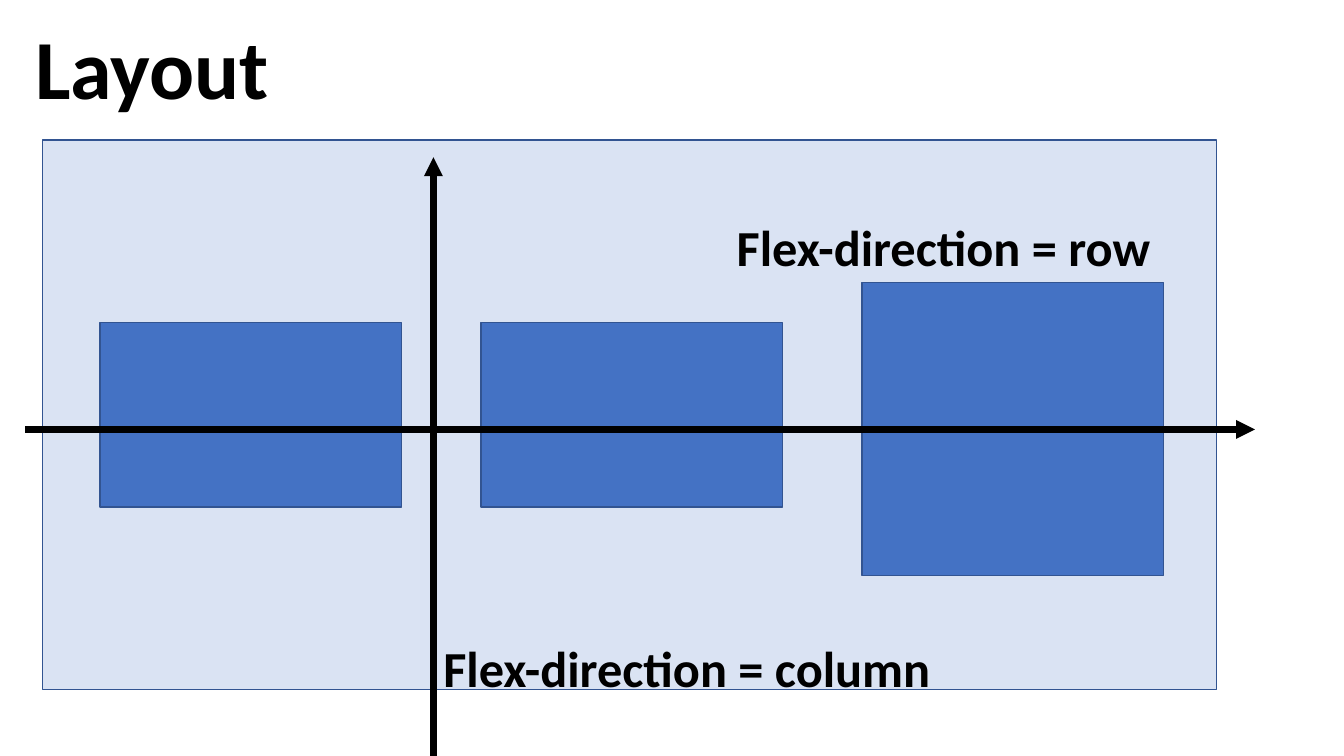
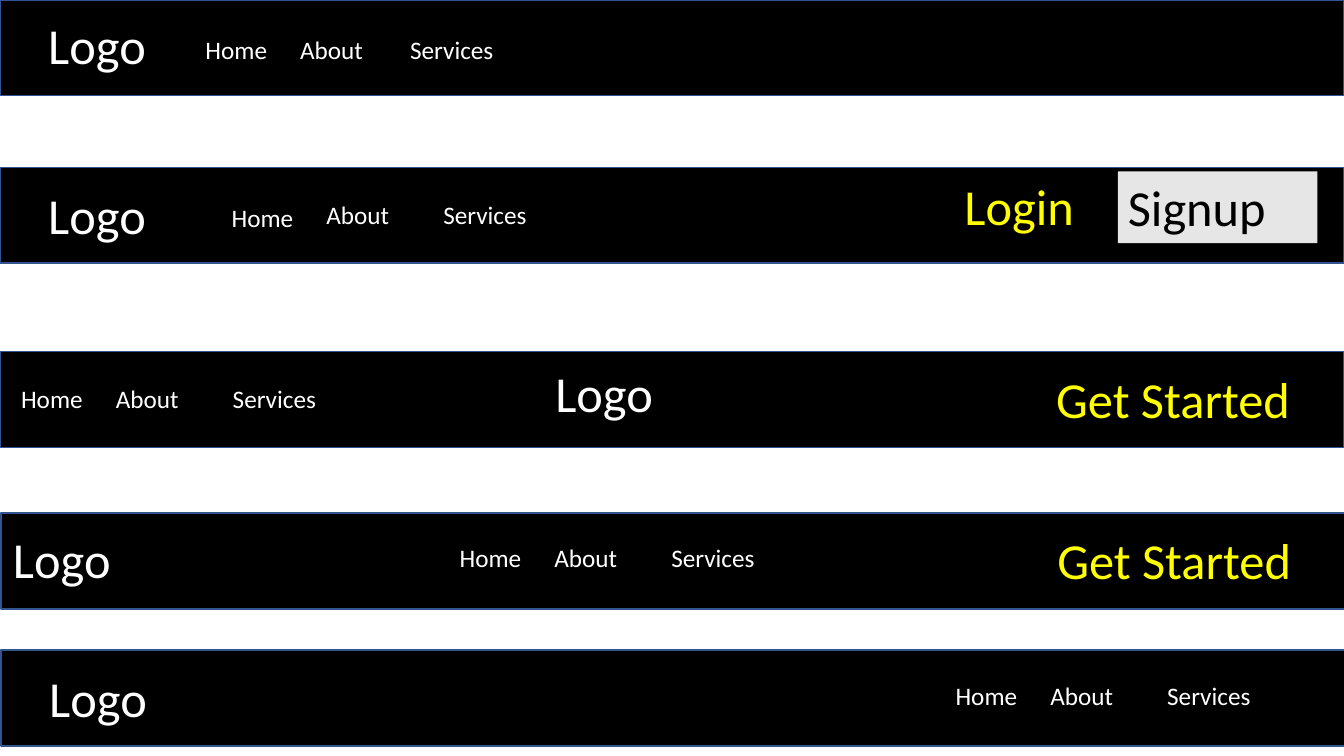
from collections import namedtuple

from lxml.etree import SubElement
from pptx import Presentation
from pptx.dml.color import RGBColor
from pptx.enum.shapes import MSO_CONNECTOR as CONNECTOR, MSO_SHAPE as SHAPE
from pptx.enum.text import MSO_ANCHOR as ANCHOR, MSO_AUTO_SIZE as AUTO_SIZE, PP_ALIGN as ALIGN
from pptx.oxml.ns import qn
from pptx.util import Inches, Pt

FONT = "Calibri"
BLACK, WHITE, YELLOW, GRAY = "000000", "FFFFFF", "FFFF00", "E7E6E6"
PALE_BLUE, BLUE, OUTLINE = "DAE3F3", "4472C4", "325491"
TITLE_ONLY, BLANK = 5, 6


class Box(namedtuple("Box", "left top width height")):
    """A rectangle in EMU."""

    def point(self, x, y):
        """Return the point at x and y percent of this box."""
        return (round(self.left + self.width * x / 100),
                round(self.top + self.height * y / 100))

    def inner(self, x, y, width, height):
        """Return an inner box, all lengths in percent of this box."""
        return Box(*self.point(x, y), round(self.width * width / 100),
                   round(self.height * height / 100))


SLIDE = Box(0, 0, Inches(7.5) * 16 // 9, Inches(7.5))


def color(hex_string):
    """Turn a hex string into a colour."""
    return RGBColor.from_string(hex_string)


def write(shape, text, size=36, ink=BLACK, bold=False):
    """Put one left-aligned, formatted line of text into a shape."""
    frame = shape.text_frame
    frame.word_wrap = True
    frame.auto_size = AUTO_SIZE.SHAPE_TO_FIT_TEXT
    frame.vertical_anchor = ANCHOR.TOP
    paragraph = frame.paragraphs[0]
    paragraph.alignment = ALIGN.LEFT
    run = paragraph.add_run()
    run.text = text
    run.font.name, run.font.size, run.font.bold = FONT, Pt(size), bold
    run.font.color.rgb = color(ink)


def add_text(slide, box, text, fill=None, **text_format):
    """Add a text box, filled if a colour is given."""
    shape = slide.shapes.add_textbox(*box)
    if fill:
        shape.fill.solid()
        shape.fill.fore_color.rgb = color(fill)
    write(shape, text, **text_format)


def add_rectangle(slide, box, fill):
    """Add an outlined rectangle."""
    shape = slide.shapes.add_shape(SHAPE.RECTANGLE, *box)
    shape.shadow.inherit = False
    shape.fill.solid()
    shape.fill.fore_color.rgb = color(fill)
    shape.line.color.rgb = color(OUTLINE)
    shape.line.width = Pt(1)


def add_arrow(slide, start, end):
    """Add a thick black arrow from start to end."""
    arrow = slide.shapes.add_connector(CONNECTOR.STRAIGHT, *start, *end)
    arrow.line.color.rgb = color(BLACK)
    arrow.line.width = Pt(4.5)
    properties = arrow._element.spPr
    SubElement(properties.find(qn("a:ln")), qn("a:tailEnd"), type="triangle")
    SubElement(properties, qn("a:effectLst"))


def add_title(slide, box, text):
    """Move the title placeholder to the box and fill it."""
    title = slide.shapes.title
    title.left, title.top, title.width, title.height = box
    write(title, text, size=60, bold=True)


def add_flex_diagram(slide, box):
    """Draw a flex container, its three items and both axes."""
    add_rectangle(slide, box.inner(3.15, 18.53, 87.38, 72.67), PALE_BLUE)
    item_rows = ((42.67, 24.4), (42.67, 24.4), (37.33, 38.8))
    for column, (top, height) in enumerate(item_rows):
        add_rectangle(slide, box.inner(7.43 + 28.35 * column, top, 22.43, height), BLUE)
    add_arrow(slide, box.point(1.88, 56.8), box.point(93.38, 56.8))
    add_arrow(slide, box.point(32.25, 112.53), box.point(32.25, 20.8))
    for direction, x, y in (("row", 54.08, 27.87), ("column", 32.25, 83.6)):
        add_text(slide, box.inner(x, y, 42.38, 9.47),
                 f"Flex-direction = {direction}", bold=True)


def add_navbar(slide, box, logo, menu, actions=(), services=15.75, home_drop=0):
    """Draw a bar with a logo, a menu and actions, placed in percent of it."""
    add_rectangle(slide, box, BLACK)
    add_text(slide, box.inner(*logo, 10.8, 75), "Logo", ink=WHITE)
    menu_x, menu_y = menu
    links = (("Home", 0, home_drop, 7), ("About", 7.05, 0, 10.8),
             ("Services", services, 0, 10.8))
    for text, shift, drop, width in links:
        add_text(slide, box.inner(menu_x + shift, menu_y + drop, width, 42),
                 text, size=18, ink=WHITE)
    for text, x, y, width, look in actions:
        add_text(slide, box.inner(x, y, width, 75), text, **look)


def build_layout_slide(presentation):
    """Build the slide on flex directions."""
    slide = presentation.slides.add_slide(presentation.slide_layouts[TITLE_ONLY])
    add_title(slide, SLIDE.inner(1.88, 1.33, 42.38, 14.8), "Layout")
    add_flex_diagram(slide, SLIDE)


def build_navbar_slide(presentation):
    """Build the slide with five navigation bars."""
    slide = presentation.slides.add_slide(presentation.slide_layouts[BLANK])
    link, button = {"ink": YELLOW}, {"fill": GRAY}
    get_started = ("Get Started", 77.85, 11.6, 22.13, link)
    login = ("Login", 71.03, 3.2, 10.8, link)
    signup = ("Signup", 83.18, 4.2, 14.85, button)
    navbars = (
        (0, 0, dict(logo=(2.85, 9.5), menu=(14.55, 30.5), services=15.23)),
        (0, 22.13, dict(logo=(2.85, 12.6), menu=(16.5, 28.4), home_drop=3.2,
                        actions=(login, signup))),
        (0, 46.53, dict(logo=(40.58, 5.3), menu=(0.83, 27.4), actions=(get_started,))),
        (0.08, 67.87, dict(logo=(0.15, 10.5), menu=(33.38, 25.3), actions=(get_started,))),
        (0.08, 86, dict(logo=(2.85, 12.6), menu=(70.28, 26.3))),
    )
    for left, top, contents in navbars:
        add_navbar(slide, SLIDE.inner(left, top, 100, 12.67), **contents)


def main():
    """Build and save the presentation."""
    presentation = Presentation()
    presentation.slide_width, presentation.slide_height = SLIDE.width, SLIDE.height
    build_layout_slide(presentation)
    build_navbar_slide(presentation)
    presentation.save("out.pptx")


main()
